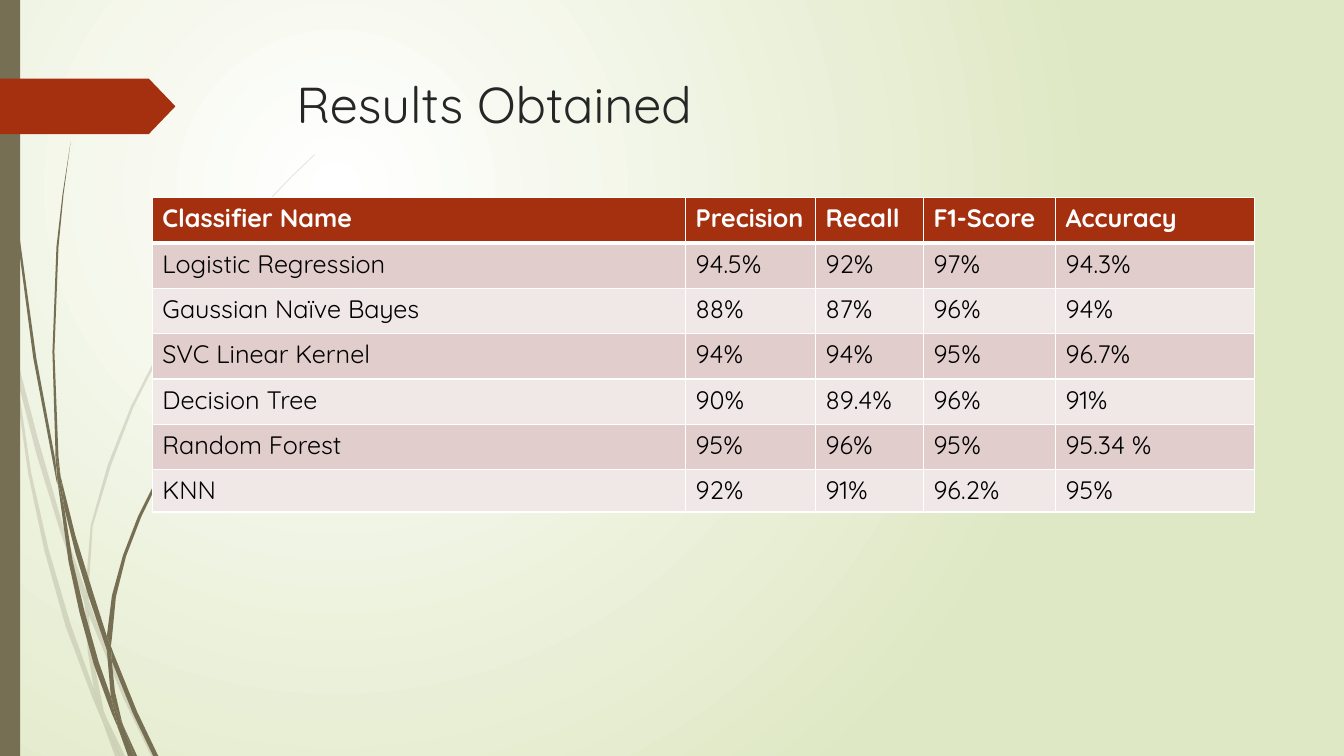
import dataclasses

import pptx
import pptx.dml.color
import pptx.enum.shapes
import pptx.oxml.ns
import pptx.oxml.xmlchemy
import pptx.util

COLUMNS, ROWS = 1333, 750
CELL = pptx.util.Inches(0.01)


@dataclasses.dataclass(frozen=True)
class Theme:
    font: str = "Quicksand"
    title_size: int = 36
    table_size: int = 18
    title: str = "262626"
    accent: str = "A53010"
    stem: str = "766F54"
    header_text: str = "FFFFFF"
    body_text: str = "000000"
    bands: tuple = ("E1CDCC", "F0E8E7")
    border: str = "FFFFFF"
    glow: tuple = ("FFFFFF", "DFE8C4")


@dataclasses.dataclass(frozen=True)
class Box:
    left: int
    top: int
    width: int
    height: int

    def emu(self):
        return [round(length * CELL) for length in dataclasses.astuple(self)]


THEME = Theme()

FAINT_GRASS = [
    [(11, 350), (9, 322), (0, 282), (0, 299), (10, 344)],
    [(58, 522), (84, 599), (85, 586), (62, 520), (37, 433), (14, 345), (17, 376), (36, 450)],
    [(92, 607), (88, 596), (88, 610), (123, 694), (150, 750), (155, 750), (127, 692)],
    [(119, 750), (124, 750), (105, 711)],
    [(93, 683), (70, 619), (48, 544), (31, 469), (17, 376), (11, 350), (28, 470), (44, 546),
     (65, 621), (92, 693), (101, 714), (99, 707)],
    [(84, 599), (87, 646), (93, 683), (96, 692), (105, 711), (103, 706), (91, 646), (88, 608)],
    [(88, 584), (92, 522), (110, 462), (132, 405), (160, 349), (193, 296), (229, 245),
     (268, 198), (290, 175), (312, 154), (312, 153), (289, 175), (268, 197), (228, 244),
     (191, 295), (158, 348), (130, 403), (107, 461), (90, 521), (85, 584), (85, 586), (88, 596)],
    [(101, 714), (114, 750), (119, 750)],
    [(88, 608), (88, 596), (85, 586), (84, 599)],
    [(96, 692), (93, 683), (99, 707), (101, 714), (119, 750), (105, 711)],
]

BOLD_GRASS = [
    [(7, 110), (17, 233), (33, 355), (56, 477), (57, 481), (55, 457), (36, 355), (19, 232),
     (8, 109), (5, 48), (4, 0), (3, 0), (4, 48)],
    [(88, 592), (106, 645), (106, 631), (93, 590), (75, 532), (60, 472), (64, 505), (75, 549)],
    [(113, 649), (110, 641), (111, 656), (132, 708), (152, 750), (157, 750), (136, 706)],
    [(110, 691), (98, 657), (84, 607), (72, 556), (64, 505), (57, 477), (68, 557), (79, 608),
     (93, 659), (111, 708), (117, 722), (116, 717)],
    [(60, 472), (58, 453), (54, 349), (58, 245), (63, 193), (70, 141), (62, 193), (56, 245),
     (52, 349), (55, 449)],
    [(133, 750), (136, 750), (122, 719)],
    [(57, 477), (64, 505), (60, 472), (55, 449), (55, 453)],
    [(111, 633), (115, 592), (125, 552), (140, 513), (158, 476), (180, 440), (205, 406),
     (231, 374), (245, 359), (261, 344), (260, 344), (245, 358), (231, 373), (204, 405),
     (178, 439), (156, 474), (137, 512), (122, 551), (111, 591), (106, 631), (110, 641)],
    [(117, 722), (127, 750), (131, 750)],
    [(106, 645), (110, 691), (116, 706), (122, 719), (121, 716), (114, 686), (111, 656),
     (109, 651)],
    [(106, 645), (109, 651), (111, 656), (110, 641), (106, 631)],
    [(116, 706), (110, 691), (116, 717), (117, 722), (130, 750), (133, 750), (122, 719)],
]

RESULTS = [
    ("Classifier Name", "Precision", "Recall", "F1-Score", "Accuracy"),
    ("Logistic Regression", "94.5%", "92%", "97%", "94.3%"),
    ("Gaussian Naïve Bayes", "88%", "87%", "96%", "94%"),
    ("SVC Linear Kernel", "94%", "94%", "95%", "96.7%"),
    ("Decision Tree", "90%", "89.4%", "96%", "91%"),
    ("Random Forest", "95%", "96%", "95%", "95.34 %"),
    ("KNN", "92%", "91%", "96.2%", "95%"),
]
COLUMN_WIDTHS = (529, 129, 107, 131, 197)
ROW_HEIGHT = 45


def rgb(value):
    return pptx.dml.color.RGBColor.from_string(value)


def element(tag, **attributes):
    node = pptx.oxml.xmlchemy.OxmlElement(tag)
    for key, value in attributes.items():
        node.set(key, str(value))
    return node


def paint(shape, color, opacity=100):
    shape.shadow.inherit = False
    shape.fill.solid()
    shape.fill.fore_color.rgb = rgb(color)
    shape.line.fill.background()
    if opacity < 100:
        tone = shape._element.spPr.find(".//" + pptx.oxml.ns.qn("a:srgbClr"))
        tone.append(element("a:alpha", val=opacity * 1000))


def style(paragraph, size, color, bold=False):
    paragraph.font.name = THEME.font
    paragraph.font.size = pptx.util.Pt(size)
    paragraph.font.bold = bold
    paragraph.font.color.rgb = rgb(color)


def add_glow(slide):
    fill = slide.background.fill
    fill.gradient()
    for stop, color, position in zip(fill.gradient_stops, THEME.glow, (0, 1)):
        stop.color.rgb = rgb(color)
        stop.position = position
    gradient = slide._element.find(".//" + pptx.oxml.ns.qn("a:gradFill"))
    gradient.remove(gradient.find(pptx.oxml.ns.qn("a:lin")))
    circle = element("a:path", path="circle")
    circle.append(element("a:fillToRect", l=50000, t=50000, r=100000, b=100000))
    gradient.append(circle)


def add_grass(slide, box, blades, opacity):
    left, top, _, _ = box.emu()
    tuft = slide.shapes.add_group_shape()
    for start, *outline in blades:
        builder = tuft.shapes.build_freeform(*start, scale=float(CELL))
        builder.add_line_segments(outline, close=True)
        paint(builder.convert_to_shape(left, top), THEME.stem, opacity)


def add_edge(slide, box):
    edge = slide.shapes.add_shape(pptx.enum.shapes.MSO_SHAPE.RECTANGLE, *box.emu())
    paint(edge, THEME.stem)


def add_marker(slide, box):
    marker = slide.shapes.add_shape(pptx.enum.shapes.MSO_SHAPE.PENTAGON, *box.emu())
    marker.adjustments[0] = 0.48
    paint(marker, THEME.accent)


def add_title(slide, box, wording):
    title = slide.shapes.add_textbox(*box.emu()).text_frame
    title.word_wrap = True
    title.text = wording
    style(title.paragraphs[0], THEME.title_size, THEME.title)


def add_borders(cell, bottom_width):
    properties = cell._tc.get_or_add_tcPr()
    sides = (("a:lnL", 1), ("a:lnR", 1), ("a:lnT", 1), ("a:lnB", bottom_width))
    for index, (side, width) in enumerate(sides):
        border = element(side, w=pptx.util.Pt(width))
        solid = element("a:solidFill")
        solid.append(element("a:srgbClr", val=THEME.border))
        border.append(solid)
        properties.insert(index, border)


def add_results(slide, box):
    frame = slide.shapes.add_table(len(RESULTS), len(COLUMN_WIDTHS), *box.emu())
    results = frame.table
    for column, width in zip(results.columns, COLUMN_WIDTHS):
        column.width = round(box.width * width / sum(COLUMN_WIDTHS) * CELL)
    for row in results.rows:
        row.height = ROW_HEIGHT * CELL
    results.rows[len(RESULTS) - 1].height = (box.height - ROW_HEIGHT * (len(RESULTS) - 1)) * CELL
    for row_index, record in enumerate(RESULTS):
        header = row_index == 0
        fill = THEME.accent if header else THEME.bands[(row_index - 1) % 2]
        ink = THEME.header_text if header else THEME.body_text
        for column_index, value in enumerate(record):
            cell = results.cell(row_index, column_index)
            cell.text = value
            cell.fill.solid()
            cell.fill.fore_color.rgb = rgb(fill)
            style(cell.text_frame.paragraphs[0], THEME.table_size, ink, header)
            add_borders(cell, 3 if header else 1)


def build_results_slide(deck):
    slide = deck.slides.add_slide(deck.slide_layouts[6])
    add_glow(slide)
    meadow = Box(0, 0, 312, ROWS)
    add_grass(slide, meadow, FAINT_GRASS, 20)
    add_grass(slide, meadow, BOLD_GRASS, 100)
    add_edge(slide, Box(0, 0, 20, ROWS))
    add_marker(slide, Box(0, 78, 174, 55))
    add_title(slide, Box(284, 68, 975, 140), "Results Obtained")
    add_results(slide, Box(151, 196, 1093, 312))


deck = pptx.Presentation()
deck.slide_width, deck.slide_height = COLUMNS * CELL, ROWS * CELL
build_results_slide(deck)
deck.save("out.pptx")
